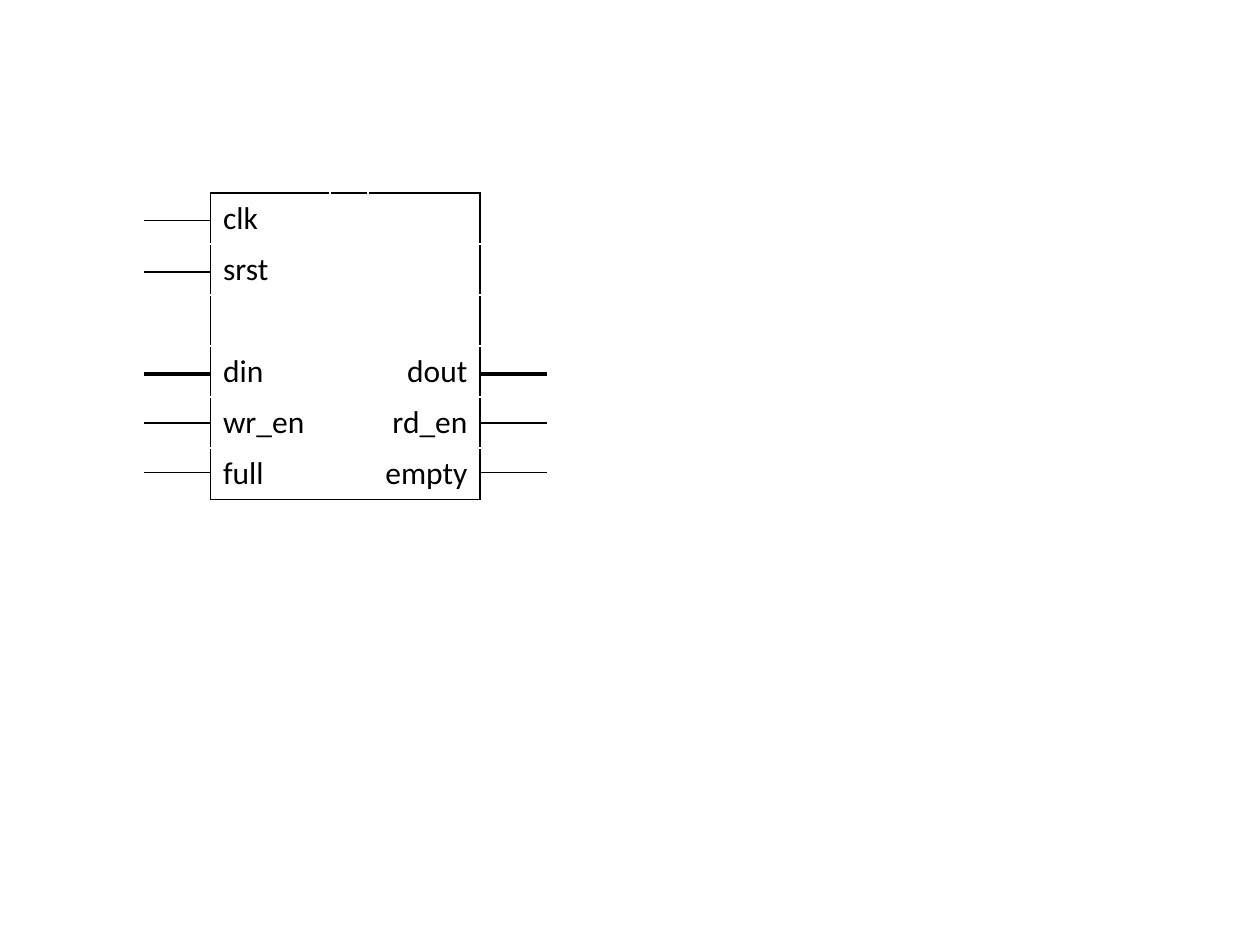
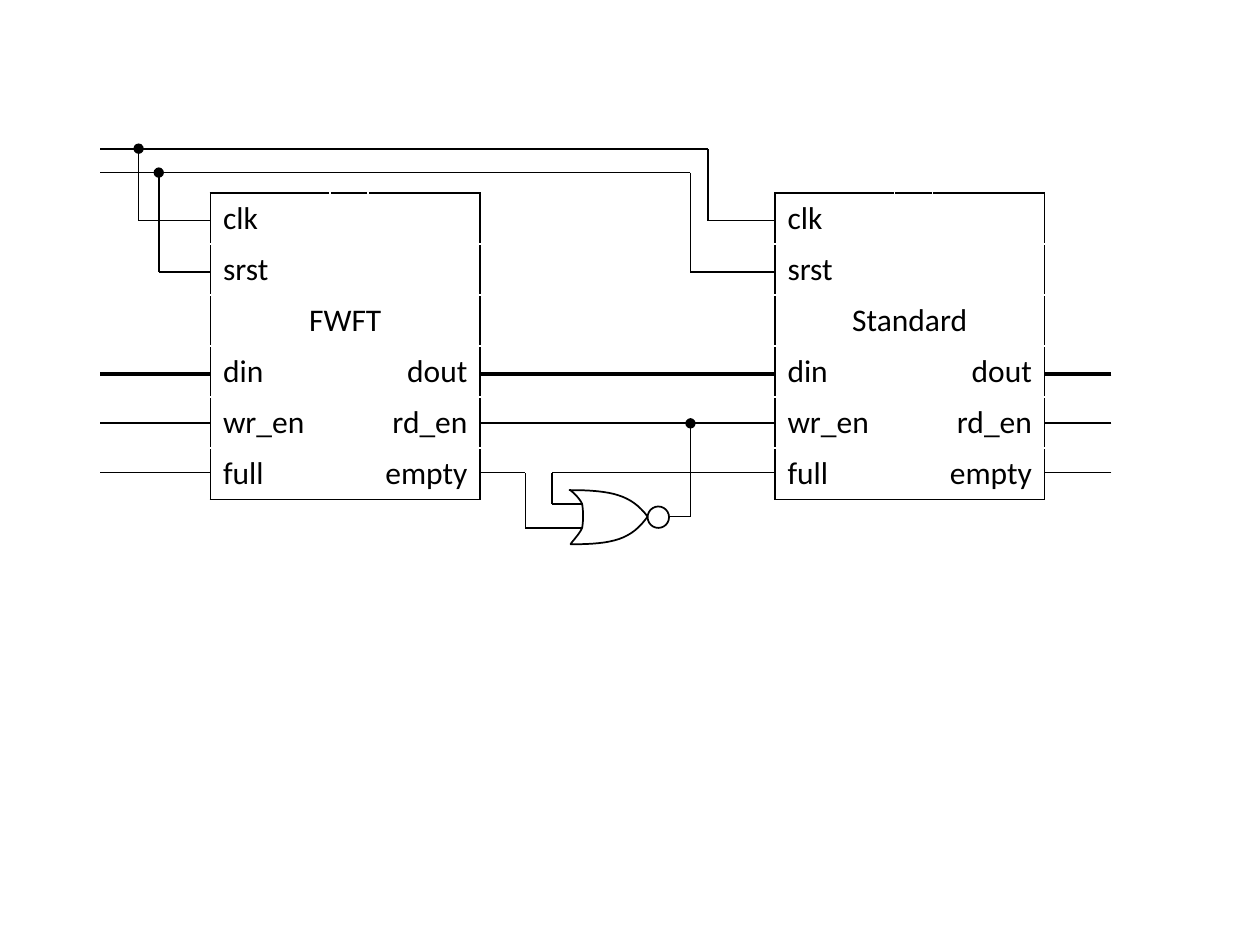
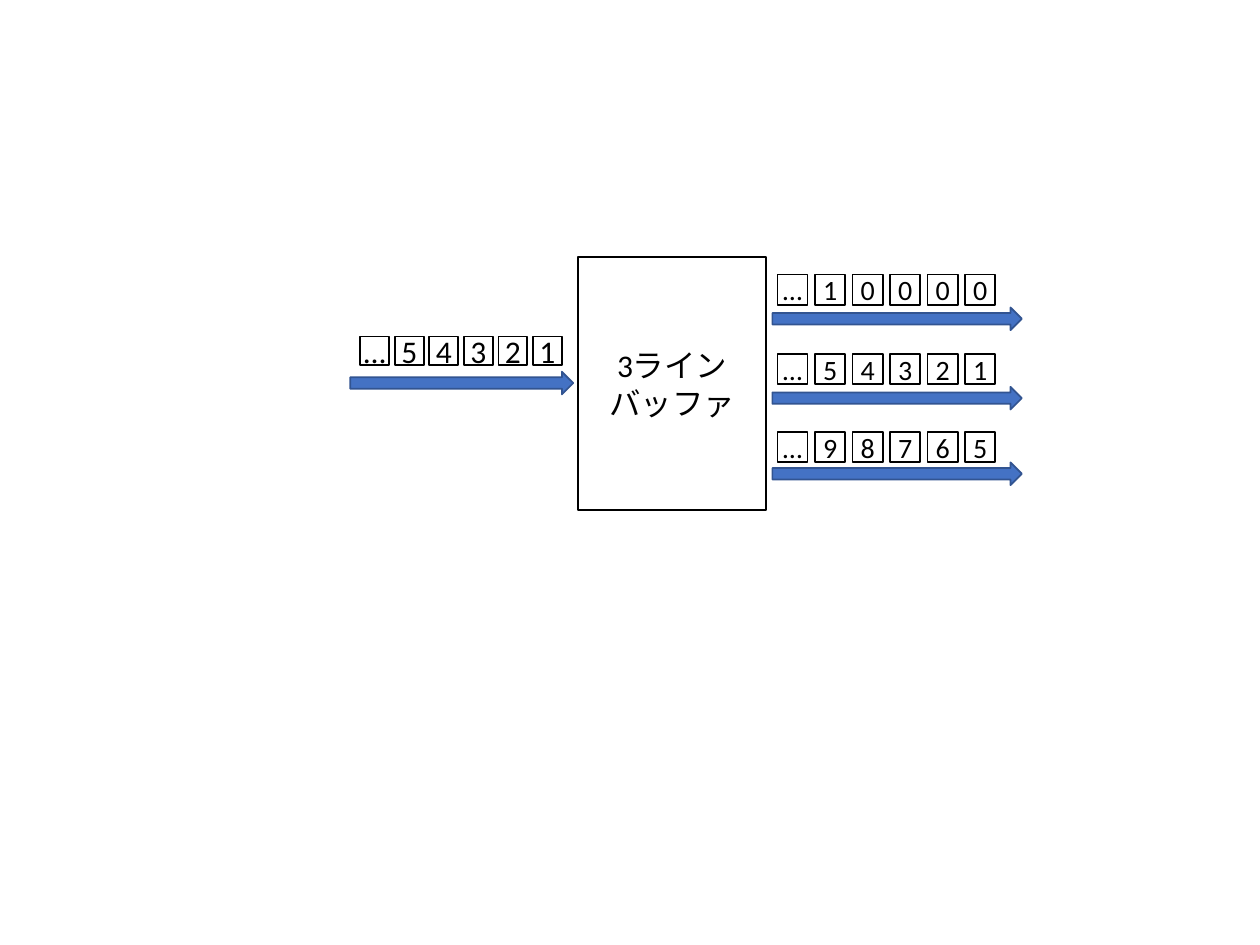
import pptx
import pptx.util
import pptx.dml.color
import pptx.enum.shapes
import pptx.enum.text
import pptx.oxml
import pptx.oxml.ns

Inches = pptx.util.Inches
RGBColor = pptx.dml.color.RGBColor
Align = pptx.enum.text.PP_ALIGN
Shape = pptx.enum.shapes.MSO_SHAPE
MIDDLE = pptx.enum.text.MSO_ANCHOR.MIDDLE

BLACK = RGBColor(0x00, 0x00, 0x00)
WHITE = RGBColor(0xFF, 0xFF, 0xFF)
BLUE = RGBColor(0x44, 0x72, 0xC4)
DARK_BLUE = RGBColor(0x32, 0x54, 0x91)

THIN, BUS = 1, 2.25

# Ports of a FIFO block: row pitch, column widths and wire heights
BLOCK_TOP, BLOCK_WIDTH, BLOCK_HEIGHT = 1.53, 2.14, 2.43
COLUMNS = [0.95, 0.3, 0.89]
LEFT_PORTS = ["clk", "srst", "", "din", "wr_en", "full"]
RIGHT_PORTS = ["", "", "", "dout", "rd_en", "empty"]
CLK, SRST, DATA, ENABLE, STATUS = 1.75, 2.16, 2.97, 3.36, 3.75
DATA_WIRES = [(DATA, BUS), (ENABLE, THIN), (STATUS, THIN)]
FIRST = 1.67
FIRST_END = FIRST + BLOCK_WIDTH
SECOND = 6.15
SECOND_END = SECOND + BLOCK_WIDTH
STUB = 0.53


def assign(target, values):
    for name, value in values.items():
        setattr(target, name, value)


def bezier(start, first, second, end, steps=16):
    """Points along a cubic curve, without its start."""
    points = []
    for step in range(1, steps + 1):
        t = step / steps
        weights = ((1 - t) ** 3, 3 * t * (1 - t) ** 2, 3 * t * t * (1 - t), t ** 3)
        points.append(tuple(
            sum(weight * value for weight, value in zip(weights, axis))
            for axis in zip(start, first, second, end)))
    return points


class Diagram:
    """Holds the text and line style and the slide being drawn."""

    font = "Calibri"

    def __init__(self, deck):
        self.deck = deck
        self.slide = None

    def new_slide(self):
        self.slide = self.deck.slides.add_slide(self.deck.slide_layouts[6])

    def label(self, frame, text, align=Align.CENTER, size=18):
        para = frame.paragraphs[0]
        para.alignment = align
        span = para.add_run()
        span.text = text
        assign(span.font, {"name": self.font, "size": pptx.util.Pt(size), "bold": False})
        span.font.color.rgb = BLACK

    def paint(self, shape, fill=WHITE, line=BLACK):
        shape.shadow.inherit = False
        shape.fill.solid()
        shape.fill.fore_color.rgb = fill
        shape.line.color.rgb = line
        shape.line.width = pptx.util.Pt(THIN)
        return shape

    def shape(self, kind, left, top, width, height, fill=WHITE, line=BLACK):
        lengths = [Inches(value) for value in (left, top, width, height)]
        return self.paint(self.slide.shapes.add_shape(kind, *lengths), fill, line)

    def box(self, left, top, width, height, text, size=18, margin=0.0):
        box = self.shape(Shape.RECTANGLE, left, top, width, height)
        assign(box.text_frame, {
            "margin_left": Inches(margin), "margin_right": Inches(margin),
            "word_wrap": True, "vertical_anchor": MIDDLE})
        self.label(box.text_frame, text, size=size)

    def arrow(self, left, top, width):
        self.shape(Shape.RIGHT_ARROW, left, top, width, 0.18, BLUE, DARK_BLUE)

    def outline(self, points):
        builder = self.slide.shapes.build_freeform(
            Inches(points[0][0]), Inches(points[0][1]))
        builder.add_line_segments(
            [(Inches(x), Inches(y)) for x, y in points[1:]], close=True)
        self.paint(builder.convert_to_shape())

    def wire(self, x1, y1, x2, y2, weight=THIN, dot=False):
        """A straight wire; a dot marks a junction at its far end."""
        wire = self.slide.shapes.add_connector(
            pptx.enum.shapes.MSO_CONNECTOR.STRAIGHT,
            Inches(x1), Inches(y1), Inches(x2), Inches(y2))
        wire.line.color.rgb = BLACK
        wire.line.width = pptx.util.Pt(weight)
        properties = wire._element.spPr
        if dot:
            end = pptx.oxml.parse_xml(
                '<a:tailEnd %s type="oval"/>' % pptx.oxml.ns.nsdecls("a"))
            properties.find(pptx.oxml.ns.qn("a:ln")).append(end)
        properties.append(pptx.oxml.parse_xml(
            "<a:effectLst %s/>" % pptx.oxml.ns.nsdecls("a")))

    def border(self, cell, sides):
        """Draw the given sides (in L, R, T, B order) of a table cell."""
        for side in sides:
            cell._tc.get_or_add_tcPr().append(pptx.oxml.parse_xml(
                '<a:ln%s %s w="%d"><a:solidFill><a:srgbClr val="%s"/></a:solidFill></a:ln%s>'
                % (side, pptx.oxml.ns.nsdecls("a"), pptx.util.Pt(THIN), BLACK, side)))

    def fifo(self, left, title=""):
        rows, last = len(LEFT_PORTS), len(COLUMNS) - 1
        table = self.slide.shapes.add_table(
            rows, len(COLUMNS), Inches(left), Inches(BLOCK_TOP),
            Inches(BLOCK_WIDTH), Inches(BLOCK_HEIGHT)).table
        assign(table, {"first_row": False, "horz_banding": False})
        for column, width in zip(table.columns, COLUMNS):
            column.width = Inches(width)
        for r, ports in enumerate(zip(LEFT_PORTS, RIGHT_PORTS)):
            table.rows[r].height = Inches(BLOCK_HEIGHT / rows)
            for c in range(len(COLUMNS)):
                cell = table.cell(r, c)
                edges = {"L": c == 0, "R": c == last, "T": r == 0, "B": r == rows - 1}
                if title and r == 2:
                    edges["R"] = True
                self.border(cell, [side for side, drawn in edges.items() if drawn])
                cell.fill.background()
            for c, text, align in zip((0, last), ports, (Align.LEFT, Align.RIGHT)):
                if text:
                    self.label(table.cell(r, c).text_frame, text, align)
        if title:
            cell = table.cell(2, 0)
            cell.merge(table.cell(2, last))
            cell.vertical_anchor = MIDDLE
            self.label(cell.text_frame, title)

    def stream(self, left, top, side, last_left, labels, size):
        """A row of evenly spaced data boxes."""
        step = (last_left - left) / (len(labels) - 1)
        for index, text in enumerate(labels):
            self.box(left + index * step, top, side, side, text, size)


deck = pptx.Presentation()
assign(deck, {"slide_width": Inches(10), "slide_height": Inches(7.5)})
diagram = Diagram(deck)

# Slide 1: one FIFO with its ports
diagram.new_slide()
diagram.fifo(FIRST)
for y, weight in [(CLK, THIN), (SRST, THIN)] + DATA_WIRES:
    diagram.wire(FIRST, y, FIRST - STUB, y, weight)
for y, weight in DATA_WIRES:
    diagram.wire(FIRST_END + STUB, y, FIRST_END, y, weight)

# Slide 2: two FIFOs in series
diagram.new_slide()
diagram.fifo(FIRST, "FWFT")
diagram.fifo(SECOND, "Standard")
INPUT = 0.79
for y, weight in DATA_WIRES:
    diagram.wire(FIRST, y, INPUT, y, weight)
    diagram.wire(SECOND_END + STUB, y, SECOND_END, y, weight)
for y, weight in DATA_WIRES[:2]:
    diagram.wire(SECOND, y, FIRST_END, y, weight)

# Clock and reset lines, each with a branch to both FIFOs
for bus_y, port_y, branch, corner in [(1.18, CLK, 1.1, 5.62), (1.37, SRST, 1.26, 5.48)]:
    diagram.wire(corner, bus_y, INPUT, bus_y)
    diagram.wire(branch, port_y, branch, bus_y, dot=True)
    diagram.wire(FIRST, port_y, branch, port_y)
    diagram.wire(corner, port_y, corner, bus_y)
    diagram.wire(SECOND, port_y, corner, port_y)

# NOR gate: body, inverter ring, two inputs and the output
corners = [(4.52, 3.89), (5.14, 4.1), (4.53, 4.32), (4.62, 4.19), (4.62, 4.0), (4.52, 3.89)]
handles = [((4.86, 3.89), (5.01, 3.93)), ((5.01, 4.28), (4.87, 4.32)),
           ((4.52, 4.32), (4.6, 4.24)), ((4.63, 4.14), (4.63, 4.05)),
           ((4.6, 3.95), (4.52, 3.88))]
body = corners[:1]
for start, (first, second), end in zip(corners, handles, corners[1:]):
    body += bezier(start, first, second, end)
diagram.outline(body)
diagram.shape(Shape.OVAL, 5.14, 4.02, 0.17, 0.17)
for port_x, bend, y in [(FIRST_END, 4.17, 4.19), (SECOND, 4.38, 4.0)]:
    diagram.wire(port_x, STATUS, bend, STATUS)
    diagram.wire(bend, y, bend, STATUS)
    diagram.wire(bend, y, 4.62, y)
diagram.wire(5.32, 4.1, 5.48, 4.1)
diagram.wire(5.48, 4.1, 5.48, ENABLE, dot=True)

# Slide 3: line buffer with one input and three outputs
diagram.new_slide()
diagram.arrow(2.78, 2.95, 1.77)
diagram.stream(2.86, 2.67, 0.23, 4.23, "…54321", 18)
diagram.box(4.59, 2.04, 1.49, 2.01, "3ラインバッファ", margin=0.1)
for top, arrow_top, labels in [(2.18, 2.44, "…10000"), (2.81, 3.07, "…54321"),
                               (3.43, 3.67, "…98765")]:
    diagram.arrow(6.13, arrow_top, 1.98)
    diagram.stream(6.17, top, 0.24, 7.66, labels, 16)

deck.save("out.pptx")
